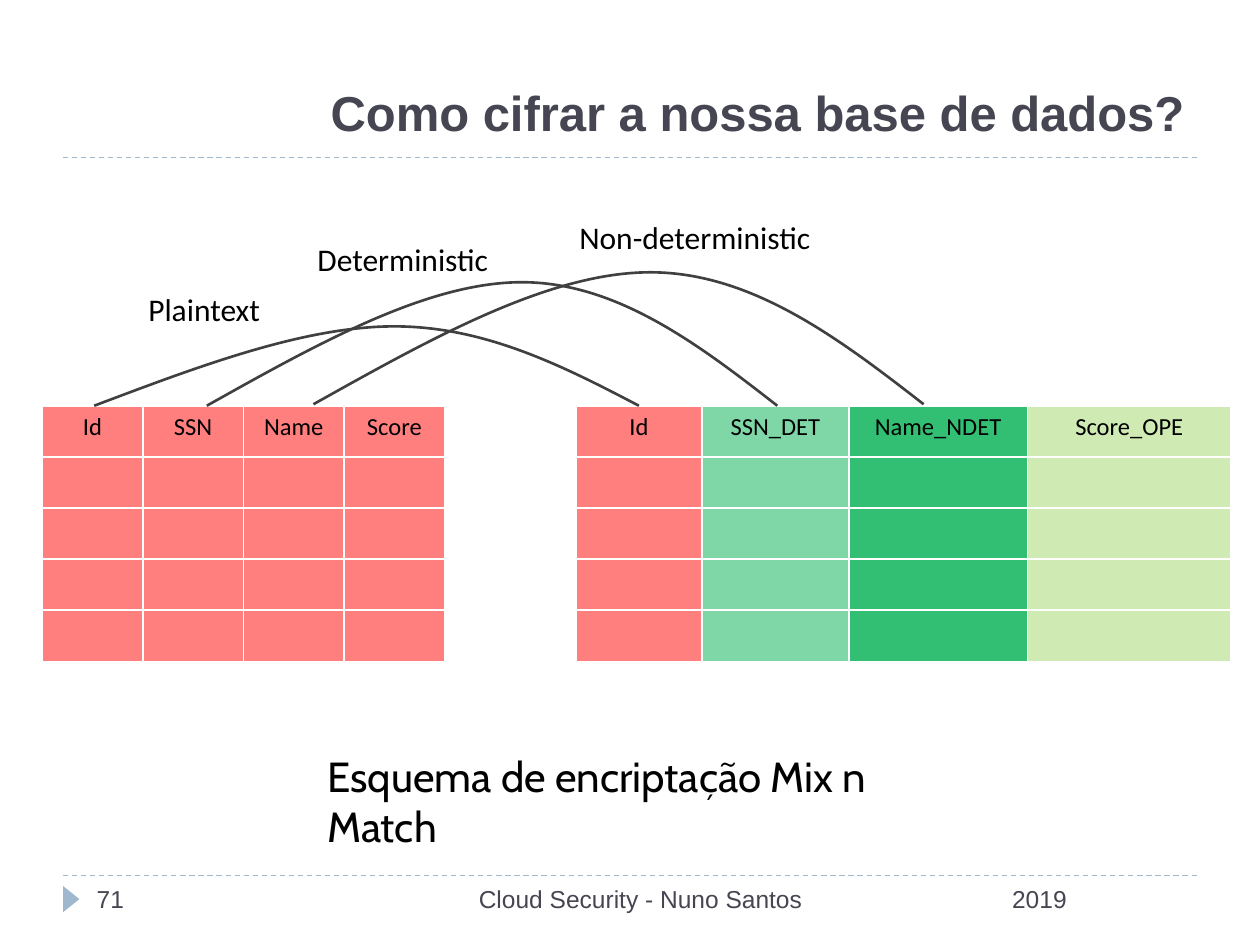
from lxml.etree import SubElement
from pptx import Presentation
from pptx.dml.color import RGBColor
from pptx.enum.dml import MSO_LINE
from pptx.enum.shapes import MSO_CONNECTOR, MSO_SHAPE
from pptx.enum.text import MSO_ANCHOR, PP_ALIGN
from pptx.oxml import parse_xml
from pptx.oxml.ns import nsdecls, qn
from pptx.util import Cm, Pt

HUES = {"slate": "464653", "steel": "9FB8CD", "ink": "000000", "arc": "404040",
        "red": "FF0000", "green": "00B050", "lime": "92D050", "white": "FFFFFF"}
FOOT = {"name": "Arial", "size": Pt(14)}
HEAD = {"name": "Arial", "size": Pt(28), "bold": True}
CELL = {"name": "Calibri", "size": Pt(14)}
LABEL = {"name": "Calibri", "size": Pt(18)}
NOTE = {"name": "Cabin", "size": Pt(24)}

TOP, ROW, ROWS = 8.18, 1.03, 5
RED = ("red", 50)
# left edge, then columns: heading, width, (colour, opacity %)
TABLES = [
    (0.85, [(name, 2.03, RED) for name in ("Id", "SSN", "Name", "Score")]),
    (11.61, [("Id", 2.54, RED), ("SSN_DET", 2.96, ("green", 50)),
             ("Name_NDET", 3.6, ("green", 80)), ("Score_OPE", 4.11, ("lime", 43))]),
]
# start x, peak x, end x, foot y, peak y
ARCS = [(1.9, 7.95, 12.88, 8.18, 6.58),
        (4.17, 10.52, 15.67, 8.18, 5.69),
        (6.32, 13.11, 18.62, 8.15, 5.49)]
# text, left, top, width, wrap
LABELS = [("Plaintext", 2.74, 5.72, 2.79, False),
          ("Deterministic", 6.15, 4.7, 3.99, False),
          ("Non-deterministic", 11.43, 4.27, 6.1, True)]
FEET = [("71", 1.7, 5.51, PP_ALIGN.LEFT),
        ("2019", 17.78, 6.35, PP_ALIGN.CENTER),
        ("Cloud Security - Nuno Santos", 8.05, 9.73, PP_ALIGN.CENTER)]


def hue(name):
    return RGBColor.from_string(HUES[name])


def write(frame, text, form, color="ink", align=PP_ALIGN.LEFT):
    para = frame.paragraphs[0]
    para.alignment = align
    run = para.add_run()
    run.text = text
    for key, value in form.items():
        setattr(run.font, key, value)
    run.font.color.rgb = hue(color)


def add_text(slide, text, box, form, wrap=True, pad=0.13, **look):
    frame = slide.shapes.add_textbox(*map(Cm, box)).text_frame
    frame.word_wrap = wrap
    frame.margin_top = Cm(pad)
    write(frame, text, form, **look)


def add_title(slide, text):
    title = slide.shapes.title
    title.left, title.top, title.width, title.height = map(Cm, (3.02, 0.64, 21.11, 2.34))
    title.text_frame.vertical_anchor = MSO_ANCHOR.BOTTOM
    write(title.text_frame, text, HEAD, "slate", PP_ALIGN.RIGHT)


def add_rule(slide, y):
    rule = slide.shapes.add_connector(MSO_CONNECTOR.STRAIGHT, Cm(1.27), Cm(y), Cm(24.13), Cm(y))
    rule.line.color.rgb = hue("steel")
    rule.line.width = Pt(0.75)
    rule.line.dash_style = MSO_LINE.DASH
    SubElement(rule.element.spPr, qn("a:effectLst"))


def add_mark(slide):
    mark = slide.shapes.add_shape(MSO_SHAPE.ISOSCELES_TRIANGLE,
                                  Cm(1.17), Cm(17.96), Cm(0.53), Cm(0.33))
    mark.rotation = 90
    mark.shadow.inherit = False
    mark.fill.solid()
    mark.fill.fore_color.rgb = hue("steel")
    mark.line.fill.background()


def paint(cell, color, alpha):
    """Give a cell a see-through fill and white borders."""
    cell.fill.solid()
    cell.fill.fore_color.rgb = hue(color)
    props = cell._tc.tcPr
    tint = props.find(".//" + qn("a:srgbClr"))
    SubElement(tint, qn("a:alpha"), val=str(alpha * 1000))
    for spot, side in enumerate("LRTB"):
        props.insert(spot, parse_xml(
            f'<a:ln{side} {nsdecls("a")} w="12700"><a:solidFill>'
            f'<a:srgbClr val="{HUES["white"]}"/></a:solidFill></a:ln{side}>'))


def add_grid(slide, left, cols):
    width = sum(col[1] for col in cols)
    grid = slide.shapes.add_table(ROWS, len(cols), Cm(left), Cm(TOP),
                                  Cm(width), Cm(ROW * ROWS)).table
    grid.first_row = grid.horz_banding = False
    for spot, (name, wide, fill) in enumerate(cols):
        grid.columns[spot].width = Cm(wide)
        for row in range(ROWS):
            paint(grid.cell(row, spot), *fill)
        write(grid.cell(0, spot).text_frame, name, CELL, align=PP_ALIGN.CENTER)


def add_arc(slide, start, peak, end, foot, crest):
    """Draw two Bezier halves that meet at the peak."""
    rise, fall, mid = peak - start, end - peak, (foot + crest) / 2
    points = [(start + 0.35 * rise, mid), (start + 0.7 * rise, crest), (peak, crest),
              (peak + 0.37 * fall, crest), (peak + 0.69 * fall, mid), (end, foot)]
    pen = slide.shapes.build_freeform(Cm(start), Cm(foot))
    pen.add_line_segments([(Cm(x), Cm(y)) for x, y in points], close=False)
    arc = pen.convert_to_shape()
    arc.shadow.inherit = False
    arc.fill.background()
    arc.line.color.rgb = hue("arc")
    arc.line.width = Pt(1.5)
    track = arc.element.find(".//" + qn("a:path"))
    steps = track.findall(qn("a:lnTo"))
    for half in (steps[:3], steps[3:]):
        curve = SubElement(track, qn("a:cubicBezTo"))
        for step in half:
            curve.append(step[0])
            track.remove(step)


def main():
    deck = Presentation()
    deck.slide_width, deck.slide_height = Cm(25.4), Cm(19.05)
    slide = deck.slides.add_slide(deck.slide_layouts[5])
    for y in (17.65, 3.18):
        add_rule(slide, y)
    add_mark(slide)
    for left, cols in TABLES:
        add_grid(slide, left, cols)
    for arc, (text, left, top, width, wrap) in zip(ARCS, LABELS):
        add_arc(slide, *arc)
        add_text(slide, text, (left, top, width, 1.02), LABEL, wrap)
    add_text(slide, "Esquema de encriptação Mix n Match", (6.35, 14.99, 13.44, 1.27), NOTE)
    for text, left, width, align in FEET:
        add_text(slide, text, (left, 17.65, width, 1.02), FOOT, pad=0.18,
                 color="slate", align=align)
    add_title(slide, "Como cifrar a nossa base de dados?")
    deck.save("out.pptx")


if __name__ == "__main__":
    main()
